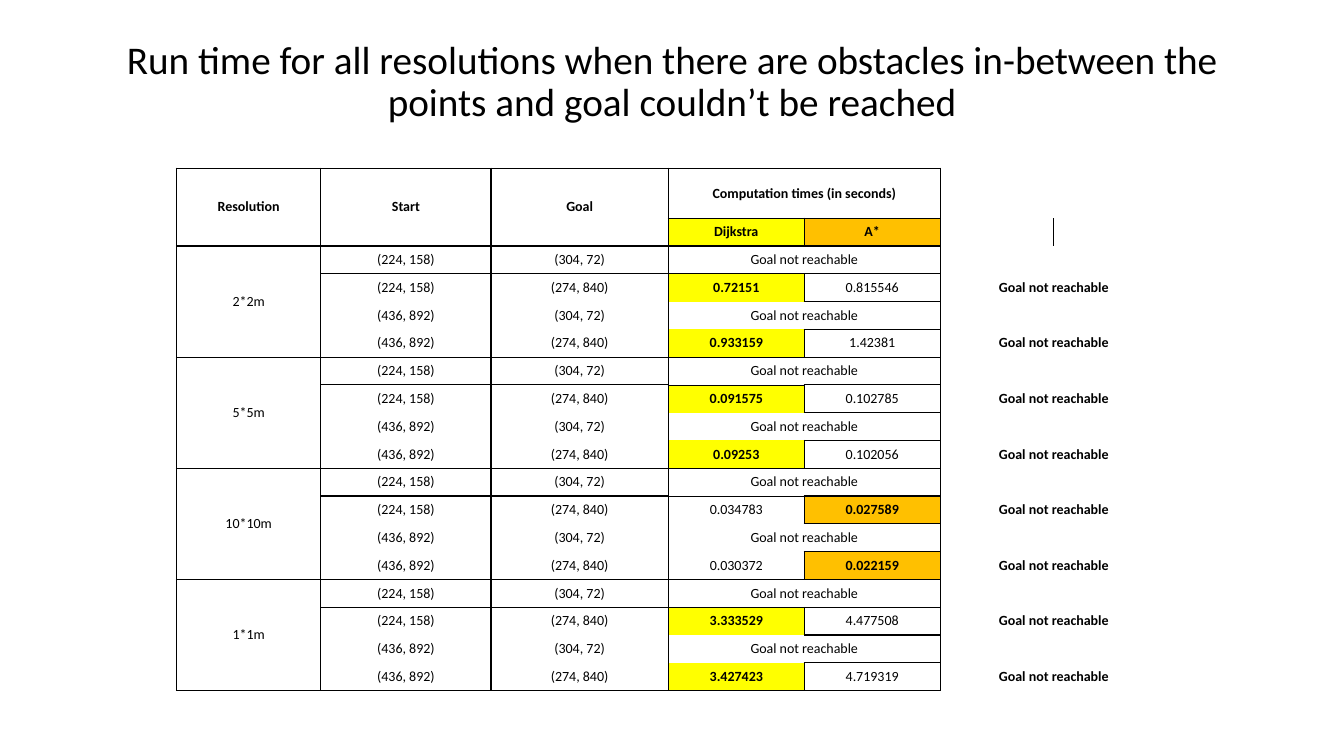
import pptx
import pptx.util
import pptx.dml.color
import pptx.enum.text
import pptx.oxml.ns
import lxml.etree
from dataclasses import dataclass

Pt = pptx.util.Pt
qn = pptx.oxml.ns.qn


@dataclass(frozen=True)
class Theme:
    font: str = "Calibri"
    ink: str = "000000"
    dijkstra: str = "FFFF00"
    a_star: str = "FFC000"
    title_size: float = 28
    table_size: float = 10
    rule: float = 1
    thin_rule: float = 0.5
    plain_table: str = "{2D5ABB26-0587-4C30-8999-92F81FD0307C}"


class SlideBuilder:
    def __init__(self, slide, theme):
        self.slide = slide
        self.theme = theme

    def style(self, paragraph, size, bold=False):
        paragraph.alignment = pptx.enum.text.PP_ALIGN.CENTER
        paragraph.font.name = self.theme.font
        paragraph.font.size = Pt(size)
        paragraph.font.bold = bold
        paragraph.font.color.rgb = pptx.dml.color.RGBColor.from_string(self.theme.ink)

    def title(self, text, left, top, width, height):
        heading = self.slide.shapes.title
        heading.left, heading.top = Pt(left), Pt(top)
        heading.width, heading.height = Pt(width), Pt(height)
        frame = heading.text_frame
        frame.text = text
        frame.auto_size = pptx.enum.text.MSO_AUTO_SIZE.NONE
        frame.vertical_anchor = pptx.enum.text.MSO_ANCHOR.MIDDLE
        frame.paragraphs[0].line_spacing = 0.9
        self.style(frame.paragraphs[0], self.theme.title_size)

    def table(self, left, top, widths, heights):
        frame = self.slide.shapes.add_table(
            len(heights), len(widths), Pt(left), Pt(top), Pt(sum(widths)), Pt(sum(heights)))
        grid = frame.table
        grid.first_row = grid.horz_banding = False
        grid._tbl.tblPr.find(qn("a:tableStyleId")).text = self.theme.plain_table
        for column, width in zip(grid.columns, widths):
            column.width = Pt(width)
        for row, height in zip(grid.rows, heights):
            row.height = Pt(height)
        return grid

    def border(self, cell, sides, thin):
        tc_pr = cell._tc.get_or_add_tcPr()
        for side in "LRTB":
            if side in sides:
                weight = self.theme.thin_rule if side in thin else self.theme.rule
                line = lxml.etree.SubElement(tc_pr, qn(f"a:ln{side}"), w=str(int(Pt(weight))))
                fill = lxml.etree.SubElement(line, qn("a:solidFill"))
                lxml.etree.SubElement(fill, qn("a:srgbClr"), val=self.theme.ink)

    def cell(self, grid, row, column, text="", sides="LRTB", span=(1, 1),
             bold=False, fill=None, thin=""):
        cell = grid.cell(row, column)
        last_row, last_column = row + span[0] - 1, column + span[1] - 1
        if span != (1, 1):
            cell.merge(grid.cell(last_row, last_column))
        # Covered cells carry only the outer edges of the merged area
        for r in range(row, last_row + 1):
            for c in range(column, last_column + 1):
                outer = {"L": c == column, "R": c == last_column,
                         "T": r == row, "B": r == last_row}
                origin = (r, c) == (row, column)
                self.border(grid.cell(r, c),
                            [s for s in sides if origin or outer[s]], thin)
        if fill:
            cell.fill.solid()
            cell.fill.fore_color.rgb = pptx.dml.color.RGBColor.from_string(fill)
        else:
            cell.fill.background()
        cell.margin_left = cell.margin_right = cell.margin_top = cell.margin_bottom = 0
        cell.vertical_anchor = pptx.enum.text.MSO_ANCHOR.MIDDLE
        cell.text = text
        self.style(cell.text_frame.paragraphs[0], self.theme.table_size, bold)


UNREACHABLE = "Goal not reachable"
STARTS = ["(224, 158)", "(224, 158)", "(436, 892)", "(436, 892)"]
GOALS = ["(304, 72)", "(274, 840)"] * 2
# Resolution: (Dijkstra, A*) for each reachable pair of points
RUN_TIMES = {
    "2*2m": [("0.72151", "0.815546"), ("0.933159", "1.42381")],
    "5*5m": [("0.091575", "0.102785"), ("0.09253", "0.102056")],
    "10*10m": [("0.034783", "0.027589"), ("0.030372", "0.022159")],
    "1*1m": [("3.333529", "4.477508"), ("3.427423", "4.719319")],
}


def main():
    theme = Theme()
    deck = pptx.Presentation()
    deck.slide_width, deck.slide_height = Pt(960), Pt(540)
    builder = SlideBuilder(deck.slides.add_slide(deck.slide_layouts[5]), theme)

    # Title
    builder.title("Run time for all resolutions when there are obstacles in-between "
                  "the points and goal couldn’t be reached", 66, 28.8, 828, 60.5)

    # Table header
    times = builder.table(126, 120.2, [103.2, 121.5, 126.7, 97.1, 97.1, 81.2, 81.2],
                          [35.7] + [19.87] * 17)
    for column, heading in enumerate(["Resolution", "Start", "Goal"]):
        builder.cell(times, 0, column, heading, span=(2, 1), bold=True)
    builder.cell(times, 0, 3, "Computation times (in seconds)", span=(1, 2), bold=True)
    builder.cell(times, 1, 3, "Dijkstra", bold=True, fill=theme.dijkstra)
    builder.cell(times, 1, 4, "A*", bold=True, fill=theme.a_star)
    for row in range(2):
        builder.cell(times, row, 5, sides="L")
        builder.cell(times, row, 6, sides="")

    # One block of four rows per resolution
    for block, (resolution, pairs) in enumerate(RUN_TIMES.items()):
        first = 2 + 4 * block
        builder.cell(times, first, 0, resolution, span=(4, 1))
        for step, (start, goal) in enumerate(zip(STARTS, GOALS)):
            row = first + step
            sides = "LR" + {0: "T", 3: "B"}.get(step, "")
            builder.cell(times, row, 1, start, sides)
            builder.cell(times, row, 2, goal, sides)
            if step % 2 == 0:
                builder.cell(times, row, 3, UNREACHABLE, sides, span=(1, 2),
                             thin="T" if block else "")
                builder.cell(times, row, 5, sides="L")
                builder.cell(times, row, 6, sides="")
                continue
            dijkstra, a_star = pairs[step // 2]
            dijkstra_wins = float(dijkstra) < float(a_star)
            builder.cell(times, row, 3, dijkstra, sides, bold=dijkstra_wins,
                         fill=theme.dijkstra if dijkstra_wins else None,
                         thin="B" if block < len(RUN_TIMES) - 1 else "")
            builder.cell(times, row, 4, a_star, bold=not dijkstra_wins,
                         fill=None if dijkstra_wins else theme.a_star)
            builder.cell(times, row, 5, UNREACHABLE, "L", span=(1, 2), bold=True)

    deck.save("out.pptx")


if __name__ == "__main__":
    main()
